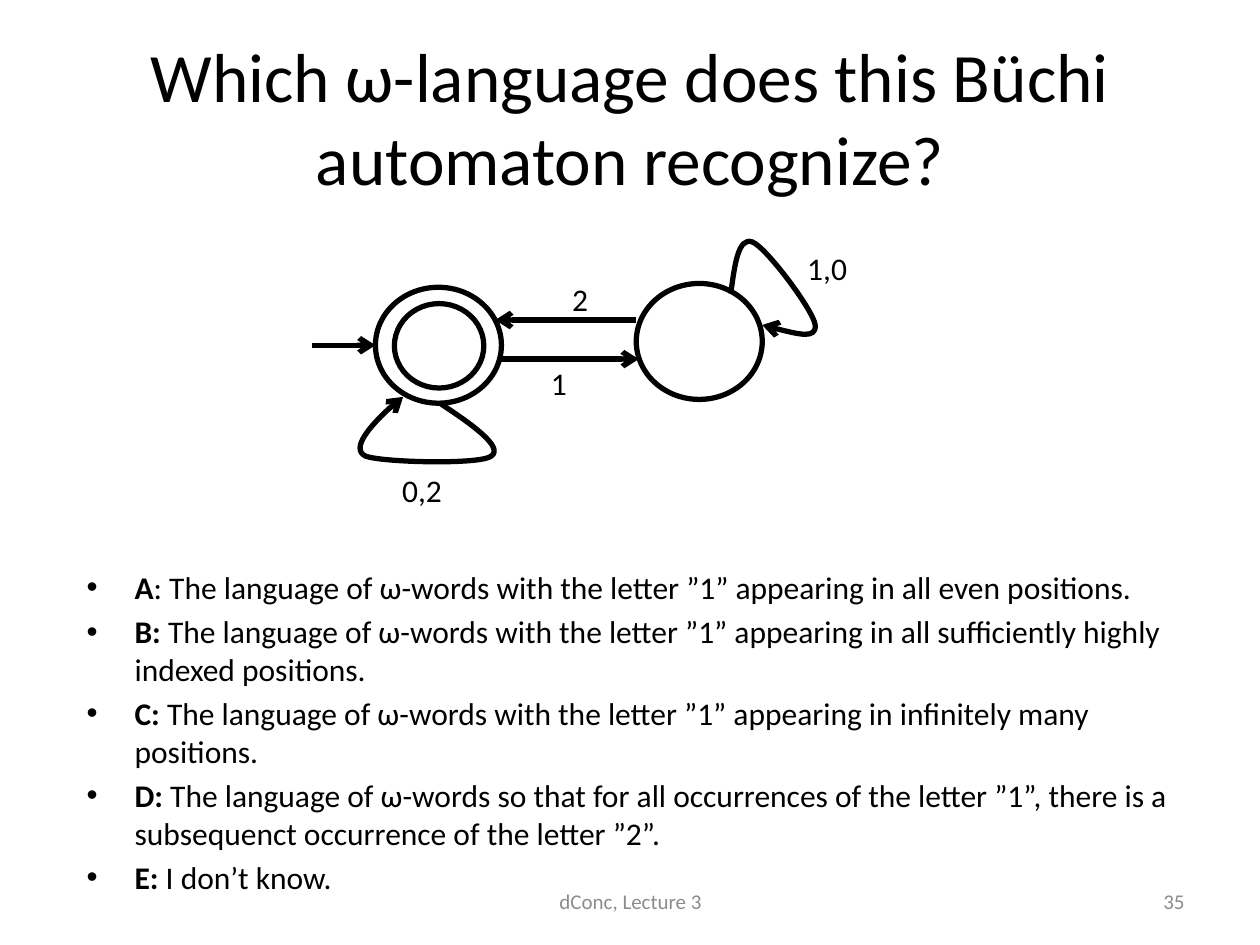
"""Build a quiz slide about the language of a Büchi automaton."""
from pptx import Presentation
from pptx.dml.color import RGBColor
from pptx.enum.shapes import MSO_CONNECTOR, MSO_SHAPE
from pptx.enum.text import MSO_ANCHOR, PP_ALIGN
from pptx.oxml.ns import qn
from pptx.util import Inches, Pt
from lxml.etree import SubElement

BLACK = RGBColor(0, 0, 0)
GRAY = RGBColor(0x8C, 0x8C, 0x8C)


def add_label(page, text, left, top, width, height, size, color, align):
    box = page.shapes.add_textbox(Inches(left), Inches(top), Inches(width), Inches(height))
    box.text_frame.word_wrap = True
    box.text_frame.vertical_anchor = MSO_ANCHOR.MIDDLE
    para = box.text_frame.paragraphs[0]
    para.text = text
    para.alignment = align
    para.font.name = "Calibri"
    para.font.size = Pt(size)
    para.font.color.rgb = color


def style_line(shape, arrow):
    shape.line.color.rgb = BLACK
    shape.line.width = Pt(3)
    if arrow:
        SubElement(shape.line._get_or_add_ln(), qn("a:tailEnd"), type="arrow")


deck = Presentation()
deck.slide_width = Inches(10)
deck.slide_height = Inches(7.5)
page = deck.slides.add_slide(deck.slide_layouts[5])

title = page.shapes.title
title.left, title.top, title.width, title.height = map(Inches, (0.5, 0.3, 9, 1.25))
title.text_frame.text = "Which ω-language does this Büchi automaton recognize?"
title.text_frame.vertical_anchor = MSO_ANCHOR.MIDDLE
heading = title.text_frame.paragraphs[0]
heading.alignment = PP_ALIGN.CENTER
heading.font.name = "Calibri"
heading.font.size = Pt(39.6)
heading.font.color.rgb = BLACK

answers = [
    ("A", ": The language of ω-words with the letter ”1” appearing in all even positions."),
    ("B:", " The language of ω-words with the letter ”1” appearing in all sufficiently highly indexed positions."),
    ("C:", " The language of ω-words with the letter ”1” appearing in infinitely many positions."),
    ("D:", " The language of ω-words so that for all occurrences of the letter ”1”, "
           "there is a subsequenct occurrence of the letter ”2”."),
    ("E:", " I don’t know."),
]
answer_box = page.shapes.add_textbox(Inches(0.59), Inches(4.46), Inches(9), Inches(2.52))
answer_frame = answer_box.text_frame
answer_frame.word_wrap = True
for number, (letter, statement) in enumerate(answers):
    para = answer_frame.add_paragraph() if number else answer_frame.paragraphs[0]
    para.space_before = Pt(3.6)
    para.font.name = "Calibri"
    para.font.size = Pt(18)
    para.font.color.rgb = BLACK
    span = para.add_run()
    span.text = letter
    span.font.bold = True
    para.add_run().text = statement
    properties = para._p.get_or_add_pPr()
    properties.set("marL", str(Inches(0.38)))
    properties.set("indent", str(-Inches(0.38)))
    bullet_font = SubElement(properties, qn("a:buFont"), typeface="Arial")
    bullet = SubElement(properties, qn("a:buChar"), char="•")
    default_font = properties.find(qn("a:defRPr"))
    default_font.addprevious(bullet_font)
    default_font.addprevious(bullet)

add_label(page, "dConc, Lecture 3", 3.42, 6.95, 3.17, 0.4, 12, GRAY, PP_ALIGN.CENTER)
add_label(page, "35", 7.17, 6.95, 2.33, 0.4, 12, GRAY, PP_ALIGN.RIGHT)

state_rings = [(2.98, 2.28, 1, 0.92), (3.13, 2.41, 0.71, 0.67), (5.05, 2.25, 1, 0.92)]
for ring in state_rings:
    state = page.shapes.add_shape(MSO_SHAPE.OVAL, *map(Inches, ring))
    state.shadow.inherit = False
    state.fill.background()
    style_line(state, arrow=False)

transitions = [(2.48, 2.74, 2.98, 2.74), (3.98, 2.85, 5.07, 2.85), (5.05, 2.54, 3.93, 2.54)]
for ends in transitions:
    transition = page.shapes.add_connector(MSO_CONNECTOR.STRAIGHT, *map(Inches, ends))
    style_line(transition, arrow=True)
    SubElement(transition._element.spPr, qn("a:effectLst"))

self_loops = [
    [(5.8, 2.33), (5.83, 2.1), (5.86, 1.88), (5.97, 1.92), (6.08, 1.96),
     (6.46, 2.47), (6.47, 2.58), (6.48, 2.69), (6.27, 2.64), (6.05, 2.58)],
    [(3.49, 3.2), (3.75, 3.37), (4, 3.55), (3.9, 3.62), (3.81, 3.69),
     (3.03, 3.67), (2.9, 3.62), (2.78, 3.56), (3.01, 3.29), (3.2, 3.15)],
]
for loop_points in self_loops:
    start, *controls = [(Inches(x), Inches(y)) for x, y in loop_points]
    builder = page.shapes.build_freeform(*start)
    builder.add_line_segments(controls, close=False)
    loop = builder.convert_to_shape()
    loop.shadow.inherit = False
    loop.fill.background()
    style_line(loop, arrow=True)
    segments = loop._element.xpath(".//a:lnTo")
    outline = segments[0].getparent()
    for first in range(0, len(segments), 3):
        curve = SubElement(outline, qn("a:cubicBezTo"))
        for segment in segments[first:first + 3]:
            curve.append(segment[0])
            outline.remove(segment)

symbols = [("1,0", 6.15, 1.93, 0.83), ("0,2", 3.06, 3.69, 0.58),
           ("1", 4.02, 2.84, 0.83), ("2", 4.19, 2.17, 0.83)]
for symbol, left, top, width in symbols:
    add_label(page, symbol, left, top, width, 0.4, 18, BLACK, PP_ALIGN.CENTER)

deck.save("out.pptx")
